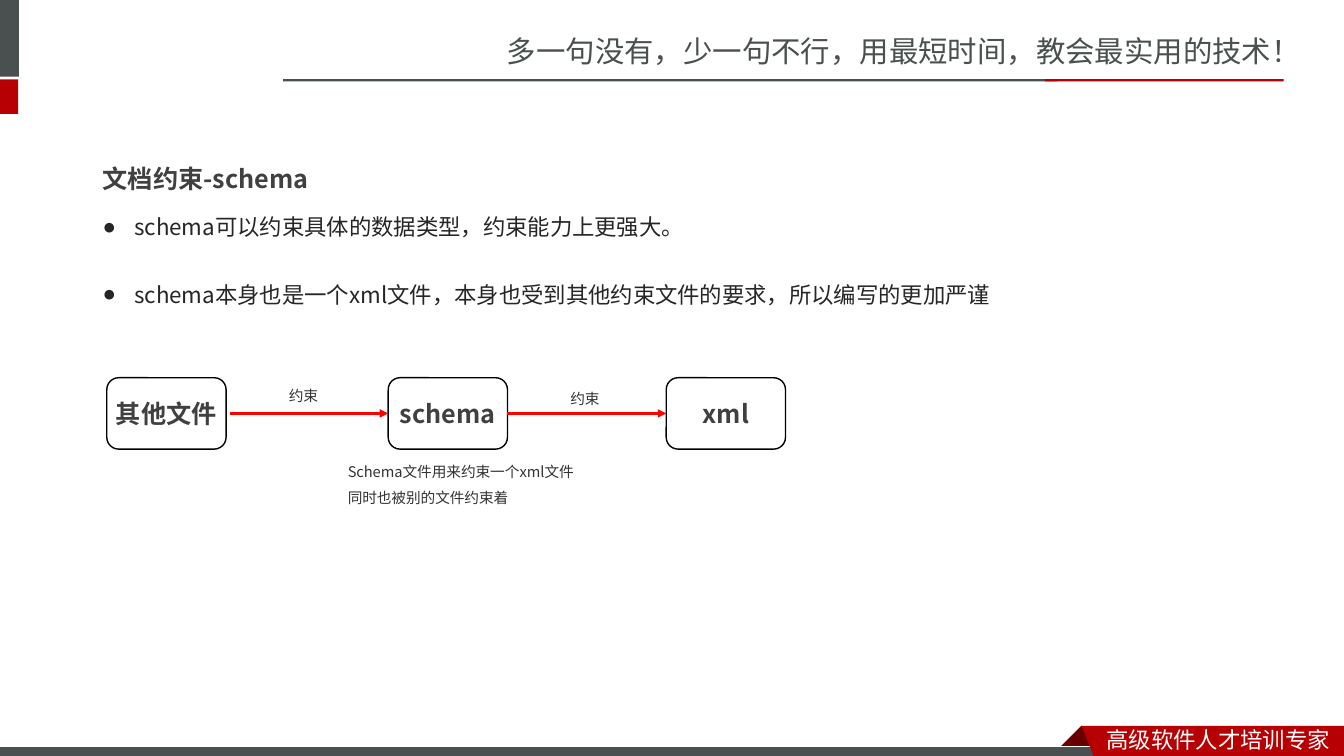
from lxml.etree import SubElement
from pptx import Presentation
from pptx.dml.color import RGBColor
from pptx.enum.shapes import MSO_CONNECTOR, MSO_SHAPE
from pptx.enum.text import MSO_ANCHOR, MSO_AUTO_SIZE, PP_ALIGN
from pptx.oxml.ns import qn
from pptx.util import Pt

SLATE = RGBColor(0x49, 0x50, 0x4F)
RED = RGBColor(0xB6, 0x00, 0x04)
DARK_RED = RGBColor(0x68, 0x00, 0x00)
ARROW_RED = RGBColor(0xFF, 0x00, 0x00)
HEADING = RGBColor(0x40, 0x40, 0x40)
BODY = RGBColor(0x26, 0x26, 0x26)
NOTE = RGBColor(0x33, 0x33, 0x33)
BLACK = RGBColor(0x00, 0x00, 0x00)
WHITE = RGBColor(0xFF, 0xFF, 0xFF)

BRAND_FONT = "Noto Sans CJK SC"
TEXT_FONT = "Noto Sans CJK JP"
WIDTH, HEIGHT = 960, 540


def place(shape, box):
    shape.left, shape.top, shape.width, shape.height = map(Pt, box)


def write(shape, lines, size, color, font=TEXT_FONT, bold=False, spacing=1.0,
          align=PP_ALIGN.LEFT, anchor=MSO_ANCHOR.TOP, wrap=True):
    """Fill a shape with one paragraph per line, all in one style."""
    frame = shape.text_frame
    frame.auto_size = MSO_AUTO_SIZE.NONE
    frame.word_wrap = wrap
    frame.vertical_anchor = anchor
    for index, line in enumerate(lines):
        para = frame.add_paragraph() if index else frame.paragraphs[0]
        para.alignment = align
        para.line_spacing = spacing
        para.space_before = Pt(0)
        span = para.add_run()
        span.text = line
        span.font.size = Pt(size)
        span.font.bold = bold
        span.font.name = font
        span.font.color.rgb = color
        SubElement(span.font._element, qn("a:ea"), typeface=font)


def add_text(page, box, lines, size, color, **style):
    shape = page.shapes.add_textbox(*map(Pt, box))
    write(shape, lines, size, color, **style)


def paint(shape, color):
    shape.shadow.inherit = False
    shape.fill.solid()
    shape.fill.fore_color.rgb = color
    shape.line.fill.background()


def add_bar(page, box, color):
    bar = page.shapes.add_shape(MSO_SHAPE.RECTANGLE, *map(Pt, box))
    paint(bar, color)
    return bar


def add_polygon(page, points, color):
    builder = page.shapes.build_freeform(Pt(points[0][0]), Pt(points[0][1]))
    builder.add_line_segments([(Pt(x), Pt(y)) for x, y in points[1:]], close=True)
    paint(builder.convert_to_shape(), color)


def add_header(page, box):
    left, top, width, height = box
    add_text(page, (left + 355, top + 20, 605, 34),
             ["多一句没有，少一句不行，用最短时间，教会最实用的技术！"],
             21, SLATE, font=BRAND_FONT)
    add_bar(page, (left, top, 13.5, 54.7), SLATE)
    add_bar(page, (left, top + 56.7, 13, 24.7), RED)
    add_bar(page, (left + 202.2, top + 56.6, 553, 1.6), SLATE)
    add_bar(page, (left + 746.6, top + 56.6, 170.4, 1.6), RED)


def add_footer(page, box):
    left, top, width, height = box
    right, bottom = left + width, top + height
    ribbon = right - 187.5
    add_polygon(page, [(ribbon, top), (ribbon + 16, top + 16), (ribbon - 16, top + 16)],
                DARK_RED)
    base = add_bar(page, (left - 1, bottom - 6.5, 792, 8.5), SLATE)
    base.line.color.rgb = WHITE
    base.line.width = Pt(0.75)
    add_polygon(page, [(ribbon, top), (right, top), (right, bottom + 2),
                       (ribbon + 9.5, bottom + 2)], RED)
    add_text(page, (right - 176.6, top - 3.6, 176.6, 26.6), ["高级软件人才培训专家"],
             16, WHITE, font=BRAND_FONT)


def add_content(page, box):
    left, top, width, height = box
    title, body = page.shapes.title, page.placeholders[1]
    place(title, (left, top, 369, 53))
    write(title, ["文档约束-schema"], 18, HEADING, bold=True, spacing=2.5)
    place(body, (left, top + 39.6, width, height - 39.6))
    write(body, ["schema可以约束具体的数据类型，约束能力上更强大。",
                 "schema本身也是一个xml文件，本身也受到其他约束文件的要求，所以编写的更加严谨"],
          16, BODY, spacing=2.5)
    for para in body.text_frame.paragraphs:
        properties = para._p.get_or_add_pPr()
        properties.set("marL", str(Pt(22.5)))
        properties.set("indent", str(-Pt(22.5)))
        SubElement(properties, qn("a:buChar"), char="●")


def add_node(page, box, name):
    node = page.shapes.add_shape(MSO_SHAPE.ROUNDED_RECTANGLE, *map(Pt, box))
    node.shadow.inherit = False
    node.fill.background()
    node.line.color.rgb = BLACK
    node.line.width = Pt(1)
    write(node, [name], 18, HEADING, bold=True, align=PP_ALIGN.CENTER,
          anchor=MSO_ANCHOR.MIDDLE, wrap=False)
    return node


def add_arrow(page, source, target, gap):
    """Point from source to target; a gap leaves the start free of source."""
    middle = target.top + target.height // 2
    arrow = page.shapes.add_connector(
        MSO_CONNECTOR.STRAIGHT, source.left + source.width + Pt(gap), middle,
        target.left, middle)
    if not gap:
        arrow.begin_connect(source, 3)
    arrow.end_connect(target, 1)
    arrow.line.color.rgb = ARROW_RED
    arrow.line.width = Pt(2)
    properties = arrow._element.spPr
    SubElement(properties.find(qn("a:ln")), qn("a:tailEnd"), type="triangle")
    SubElement(properties, qn("a:effectLst"))


def add_constraint_flow(page, box):
    left, top, width, height = box
    nodes = [add_node(page, (left + offset, top, 85.2, 51), name)
             for offset, name in ((0, "其他文件"), (201, "schema"), (399.6, "xml"))]
    links = ((3, 123, 3), (0, 324, 5))
    for source, target, (gap, label_left, label_top) in zip(nodes, nodes[1:], links):
        add_arrow(page, source, target, gap)
        add_text(page, (left + label_left, top + label_top, 36, 20), ["约束"],
                 10.5, NOTE, wrap=False)
    add_text(page, (left + 165, top + 51, 178, height - 51),
             ["Schema文件用来约束一个xml文件", "同时也被别的文件约束着"],
             10.5, NOTE, spacing=1.5)


def main():
    deck = Presentation()
    deck.slide_width, deck.slide_height = Pt(WIDTH), Pt(HEIGHT)
    page = deck.slides.add_slide(deck.slide_layouts[1])
    add_header(page, (0, 0, WIDTH, 82))
    add_footer(page, (0, 518.4, WIDTH, HEIGHT - 518.4))
    add_content(page, (66.2, 80.6, 731.5, 136))
    add_constraint_flow(page, (76.3, 269.8, 485, 115))
    deck.save("out.pptx")


if __name__ == "__main__":
    main()
